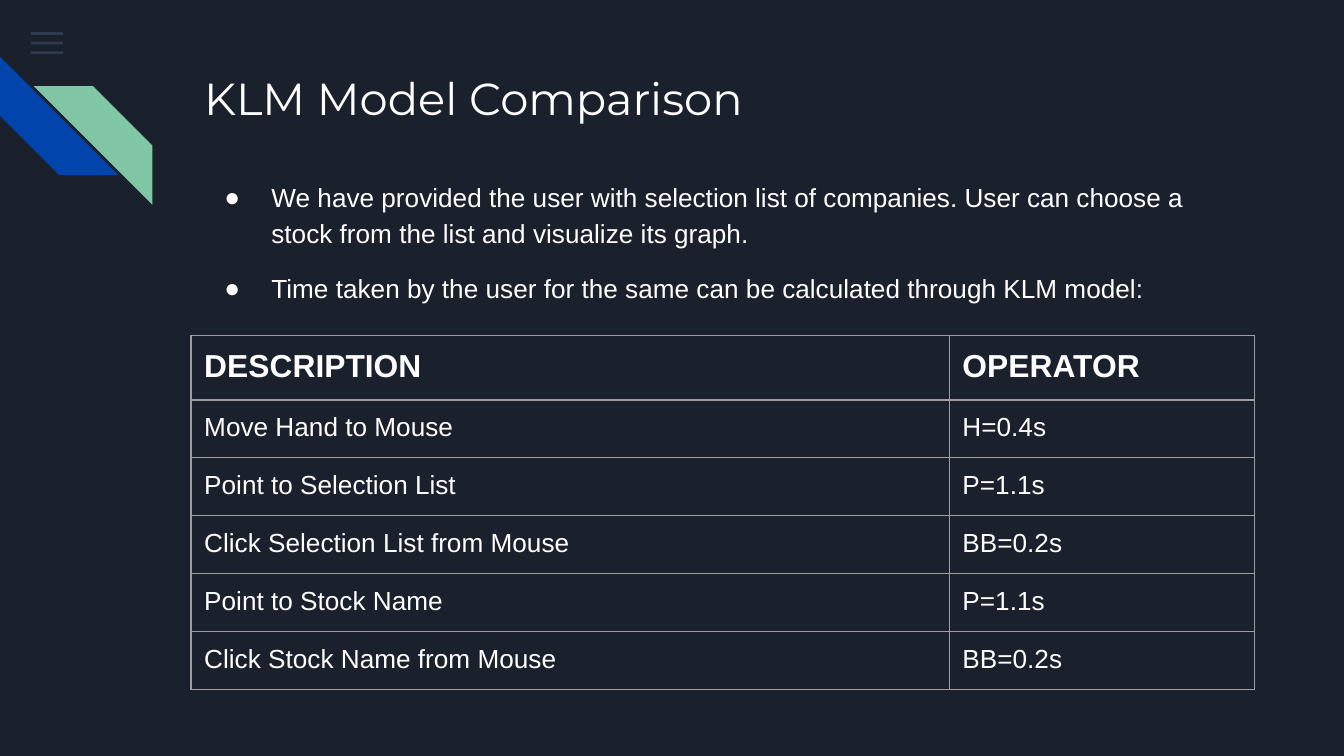
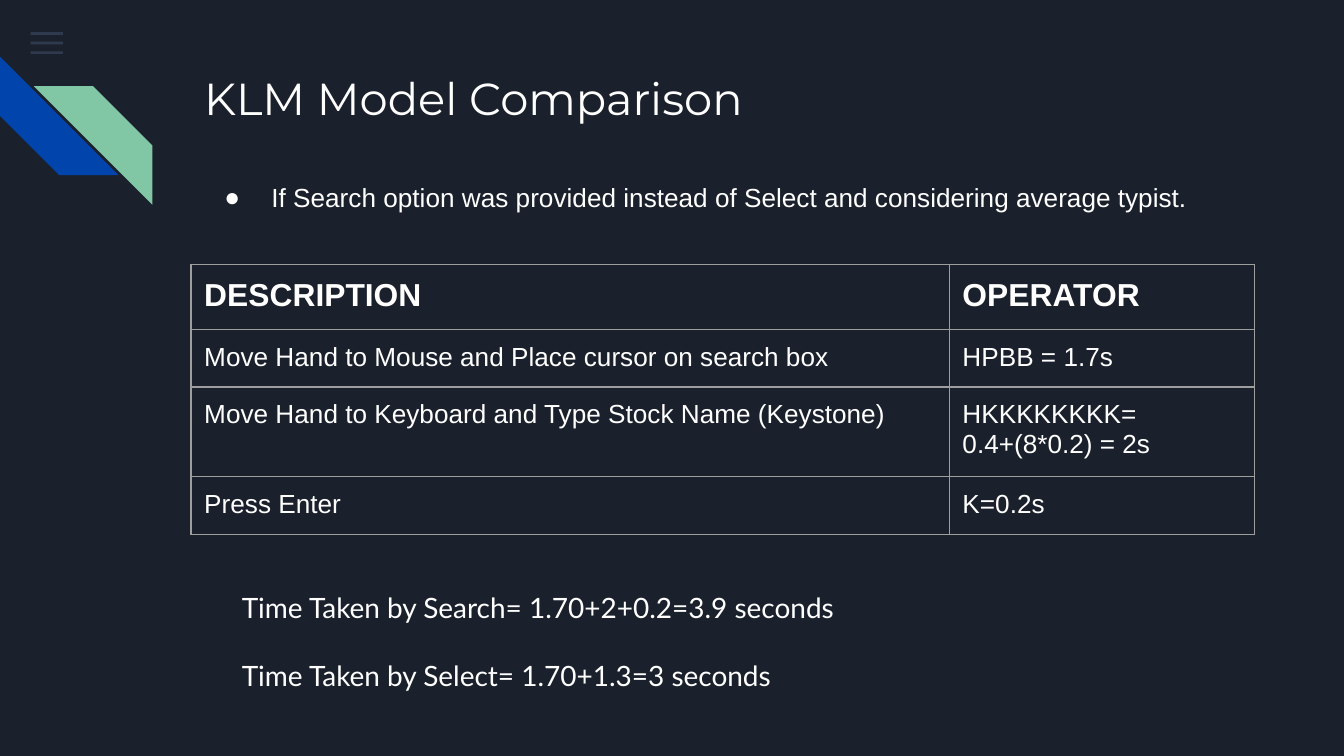
"""Build two slides that compare selecting and searching with the KLM model."""
import pptx
import pptx.dml.color
import pptx.enum.shapes
import pptx.oxml
import pptx.oxml.ns
import pptx.util

Cm = pptx.util.Cm
Pt = pptx.util.Pt
KIND = pptx.enum.shapes.MSO_SHAPE
NS = pptx.oxml.ns.nsdecls("a")

INK = {"night": "1B212C", "menu": "55688B", "blue": "0145AC",
       "green": "82C7A5", "white": "FFFFFF", "rule": "9E9E9E"}
TITLE = "KLM Model Comparison"
HEAD = ("DESCRIPTION", "OPERATOR")
DECK = [
    {"points": ["We have provided the user with selection list of companies. "
                "User can choose a stock from the list and visualize its graph.",
                "Time taken by the user for the same can be calculated "
                "through KLM model:"],
     "top": 6.34,
     "steps": [("Move Hand to Mouse", "H=0.4s"),
               ("Point to Selection List", "P=1.1s"),
               ("Click Selection List from Mouse", "BB=0.2s"),
               ("Point to Stock Name", "P=1.1s"),
               ("Click Stock Name from Mouse", "BB=0.2s")],
     "sums": []},
    {"points": ["If Search option was provided instead of Select and "
                "considering average typist."],
     "top": 5.0,
     "steps": [("Move Hand to Mouse and Place cursor on search box", "HPBB = 1.7s"),
               ("Move Hand to Keyboard and Type Stock Name (Keystone)",
                "HKKKKKKKK= 0.4+(8*0.2) = 2s"),
               ("Press Enter", "K=0.2s")],
     "sums": ["Time Taken by Search= 1.70+2+0.2=3.9 seconds",
              "Time Taken by Select= 1.70+1.3=3 seconds"]},
]
LEFT, WIDE, PAD = 3.61, 19.56, 0.25
COLS = (14.33, 5.77)
HIGH, ROW = 1.19, 1.06


def tint(name):
    return pptx.dml.color.RGBColor.from_string(INK[name])


def write(frame, lines, font="Arial", size=14, bold=False, gap=0, lead=None, dot=False):
    for i, line in enumerate(lines):
        para = frame.paragraphs[0] if i == 0 else frame.add_paragraph()
        if dot:
            props = para._p.get_or_add_pPr()
            props.set("marL", str(Cm(1.27)))
            props.set("indent", str(-Cm(0.89)))
            for xml in (f'<a:buClr {NS}><a:srgbClr val="{INK["white"]}"/></a:buClr>',
                        f'<a:buFont {NS} typeface="{font}"/>',
                        f'<a:buChar {NS} char="●"/>'):
                props.append(pptx.oxml.parse_xml(xml))
        if i and gap:
            para.space_before = Pt(gap)
        if lead:
            para.line_spacing = lead
        run = para.add_run()
        run.text = line
        run.font.name, run.font.size, run.font.bold = font, Pt(size), bold
        run.font.color.rgb = tint("white")


def label(slide, box, lines, **style):
    frame = slide.shapes.add_textbox(*map(Cm, box)).text_frame
    frame.word_wrap = True
    frame.margin_left = frame.margin_right = Cm(PAD)
    frame.margin_top = frame.margin_bottom = Cm(PAD)
    write(frame, lines, **style)


def block(slide, kind, box, color, turn=0, alpha=None):
    shape = slide.shapes.add_shape(kind, *map(Cm, box))
    shape.shadow.inherit = False
    shape.fill.solid()
    shape.fill.fore_color.rgb = tint(color)
    shape.line.fill.background()
    shape.rotation = turn
    if alpha:
        fill = shape.element.spPr.find(".//" + pptx.oxml.ns.qn("a:srgbClr"))
        fill.append(pptx.oxml.parse_xml(f'<a:alpha {NS} val="{alpha * 1000}"/>'))


def frame_cell(cell):
    cell.fill.background()
    cell.margin_left = cell.margin_right = Cm(PAD)
    cell.margin_top = cell.margin_bottom = Cm(PAD)
    props = cell._tc.get_or_add_tcPr()
    for i, side in enumerate("LRTB"):
        props.insert(i, pptx.oxml.parse_xml(
            f'<a:ln{side} {NS} w="{Pt(0.75)}"><a:solidFill>'
            f'<a:srgbClr val="{INK["rule"]}"/></a:solidFill></a:ln{side}>'))


def grid(slide, top, steps):
    rows = [HEAD] + steps
    table = slide.shapes.add_table(
        len(rows), len(COLS), Cm(LEFT), Cm(top), Cm(sum(COLS)),
        Cm(HIGH + ROW * len(steps))).table
    table.first_row = table.horz_banding = False
    for col, width in zip(table.columns, COLS):
        col.width = Cm(width)
    for r, row in enumerate(rows):
        table.rows[r].height = Cm(ROW if r else HIGH)
        for c, text in enumerate(row):
            cell = table.cell(r, c)
            frame_cell(cell)
            write(cell.text_frame, [text], size=14 if r else 17, bold=r == 0)


def base(deck):
    slide = deck.slides.add_slide(deck.slide_layouts[6])
    slide.background.fill.solid()
    slide.background.fill.fore_color.rgb = tint("night")
    for i in range(3):
        block(slide, KIND.RECTANGLE, (0.58, 0.61 + 0.18 * i, 0.61, 0.05), "menu", alpha=36)
    block(slide, KIND.DIAGONAL_STRIPE, (0, 1.07, 2.24, 2.24), "blue", turn=270)
    block(slide, KIND.DIAGONAL_STRIPE, (0.64, 1.63, 2.24, 2.24), "green", turn=90)
    label(slide, (LEFT, 1.09, WIDE, 2.54), [TITLE], font="Montserrat", size=24)
    return slide


def main():
    deck = pptx.Presentation()
    deck.slide_width, deck.slide_height = Cm(25.4), Cm(14.29)
    for page in DECK:
        slide = base(deck)
        label(slide, (LEFT, 3.1, WIDE, 8.08), page["points"], gap=10, lead=1.15, dot=True)
        grid(slide, page["top"], page["steps"])
        if page["sums"]:
            label(slide, (4.32, 10.92, 16.33, 2.44), page["sums"],
                  font="Lato", size=15, gap=18)
    deck.save("out.pptx")


if __name__ == "__main__":
    main()
